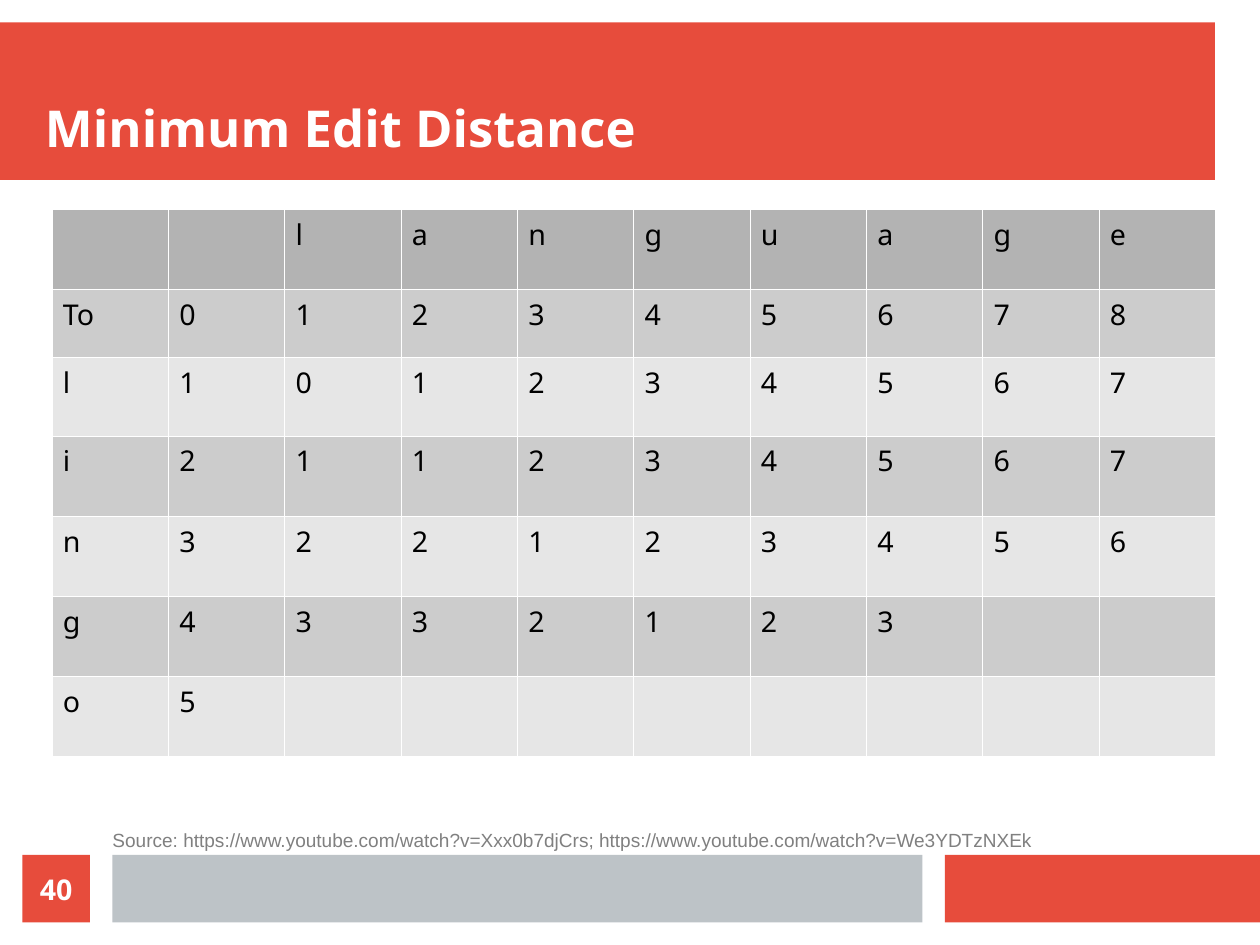
from lxml.etree import SubElement
from pptx import Presentation
from pptx.dml.color import RGBColor
from pptx.enum.shapes import MSO_SHAPE
from pptx.enum.text import MSO_ANCHOR, MSO_AUTO_SIZE, PP_ALIGN
from pptx.oxml.ns import qn
from pptx.util import Cm, Pt

RED = RGBColor(0xE7, 0x4C, 0x3C)
SILVER = RGBColor(0xBD, 0xC3, 0xC7)
WHITE = RGBColor(0xFF, 0xFF, 0xFF)
BLACK = RGBColor(0x00, 0x00, 0x00)
SOURCE_GREY = RGBColor(0x80, 0x80, 0x80)
HEADER_GREY = RGBColor(0xB3, 0xB3, 0xB3)
ROW_GREYS = (RGBColor(0xCC, 0xCC, 0xCC), RGBColor(0xE6, 0xE6, 0xE6))

HEADING_FONT = "Noto Sans"
FOOTER_TOP, FOOTER_HEIGHT = 19, 1.5
TARGET_WORD = "language"
DISTANCES = (
    ("To", range(0, 9)),
    ("l", (1, 0, 1, 2, 3, 4, 5, 6, 7)),
    ("i", (2, 1, 1, 2, 3, 4, 5, 6, 7)),
    ("n", (3, 2, 2, 1, 2, 3, 4, 5, 6)),
    ("g", (4, 3, 3, 2, 1, 2, 3)),
    ("o", (5,)),
)
ROW_HEIGHTS = (1.78, 1.5, 1.75, 1.78, 1.78, 1.78, 1.78)


def style_font(paragraph, name, size, color, bold=False):
    for run in paragraph.runs:
        run.font.name = name
        run.font.size = Pt(size)
        run.font.color.rgb = color
        run.font.bold = bold


def clear_margins(frame):
    frame.margin_left = frame.margin_top = 0
    frame.margin_right = frame.margin_bottom = 0
    frame.word_wrap = True
    frame.auto_size = MSO_AUTO_SIZE.NONE


def add_band(slide, left, top, width, height, color):
    band = slide.shapes.add_shape(
        MSO_SHAPE.RECTANGLE, Cm(left), Cm(top), Cm(width), Cm(height))
    band.shadow.inherit = False
    band.fill.solid()
    band.fill.fore_color.rgb = color
    band.line.fill.background()
    return band


def place_text(placeholder, left, top, width, height, text):
    placeholder.left, placeholder.top = Cm(left), Cm(top)
    placeholder.width, placeholder.height = Cm(width), Cm(height)
    placeholder.element.getparent().append(placeholder.element)
    frame = placeholder.text_frame
    clear_margins(frame)
    frame.text = text
    paragraph = frame.paragraphs[0]
    paragraph.alignment = PP_ALIGN.LEFT
    paragraph.space_before = Pt(0)
    return frame


def add_title(slide):
    frame = place_text(slide.shapes.title, 1, 1, 26, 2.5, "Minimum Edit Distance")
    frame.vertical_anchor = MSO_ANCHOR.BOTTOM
    style_font(frame.paragraphs[0], HEADING_FONT, 32, WHITE, bold=True)


def add_source(slide):
    frame = place_text(
        slide.placeholders[1], 1.9, 18.4, 25.5, 0.7,
        "Source: https://www.youtube.com/watch?v=Xxx0b7djCrs; "
        "https://www.youtube.com/watch?v=We3YDTzNXEk")
    frame.vertical_anchor = MSO_ANCHOR.TOP
    citation = frame.paragraphs[0]
    citation.space_after = Pt(11.4)
    properties = citation._p.get_or_add_pPr()
    properties.set("marL", str(Cm(0.6)))
    properties.set("indent", "0")
    SubElement(properties, qn("a:buNone"))
    style_font(citation, "Arial", 12, SOURCE_GREY)


def add_page_number(slide, number):
    badge = add_band(slide, 0.5, FOOTER_TOP, 1.5, FOOTER_HEIGHT, RED)
    frame = badge.text_frame
    clear_margins(frame)
    frame.vertical_anchor = MSO_ANCHOR.MIDDLE
    frame.text = number
    frame.paragraphs[0].alignment = PP_ALIGN.CENTER
    style_font(frame.paragraphs[0], HEADING_FONT, 18, WHITE, bold=True)


def add_borders(cell):
    properties = cell._tc.get_or_add_tcPr()
    for side in ("lnL", "lnR", "lnT", "lnB"):
        border = SubElement(properties, qn(f"a:{side}"), w="720")
        fill = SubElement(border, qn("a:solidFill"))
        SubElement(fill, qn("a:srgbClr"), val=str(WHITE))


def fill_cell(cell, text, color):
    add_borders(cell)
    cell.fill.solid()
    cell.fill.fore_color.rgb = color
    cell.margin_left = cell.margin_right = Cm(0.25)
    cell.margin_top = cell.margin_bottom = Cm(0.13)
    if text:
        cell.text_frame.text = text
        style_font(cell.text_frame.paragraphs[0], HEADING_FONT, 18, BLACK)


def add_distance_table(slide):
    rows = [["", "", *TARGET_WORD]]
    rows += [[letter, *map(str, values)] for letter, values in DISTANCES]
    column_count = len(rows[0])
    table = slide.shapes.add_table(
        len(rows), column_count, Cm(1.15), Cm(4.65),
        Cm(25.85), Cm(sum(ROW_HEIGHTS))).table
    table.first_row = table.horz_banding = False
    for r, (texts, height) in enumerate(zip(rows, ROW_HEIGHTS)):
        table.rows[r].height = Cm(height)
        color = ROW_GREYS[(r - 1) % 2] if r else HEADER_GREY
        for c in range(column_count):
            fill_cell(table.cell(r, c), texts[c] if c < len(texts) else "", color)


def main():
    deck = Presentation()
    deck.slide_width, deck.slide_height = Cm(28), Cm(21)
    slide = deck.slides.add_slide(deck.slide_layouts[1])
    add_band(slide, 0, 0.5, 27, 3.5, RED)
    add_band(slide, 21, FOOTER_TOP, 7, FOOTER_HEIGHT, RED)
    add_band(slide, 2.5, FOOTER_TOP, 18, FOOTER_HEIGHT, SILVER)
    add_source(slide)
    add_distance_table(slide)
    add_title(slide)
    add_page_number(slide, "40")
    deck.save("out.pptx")


if __name__ == "__main__":
    main()
